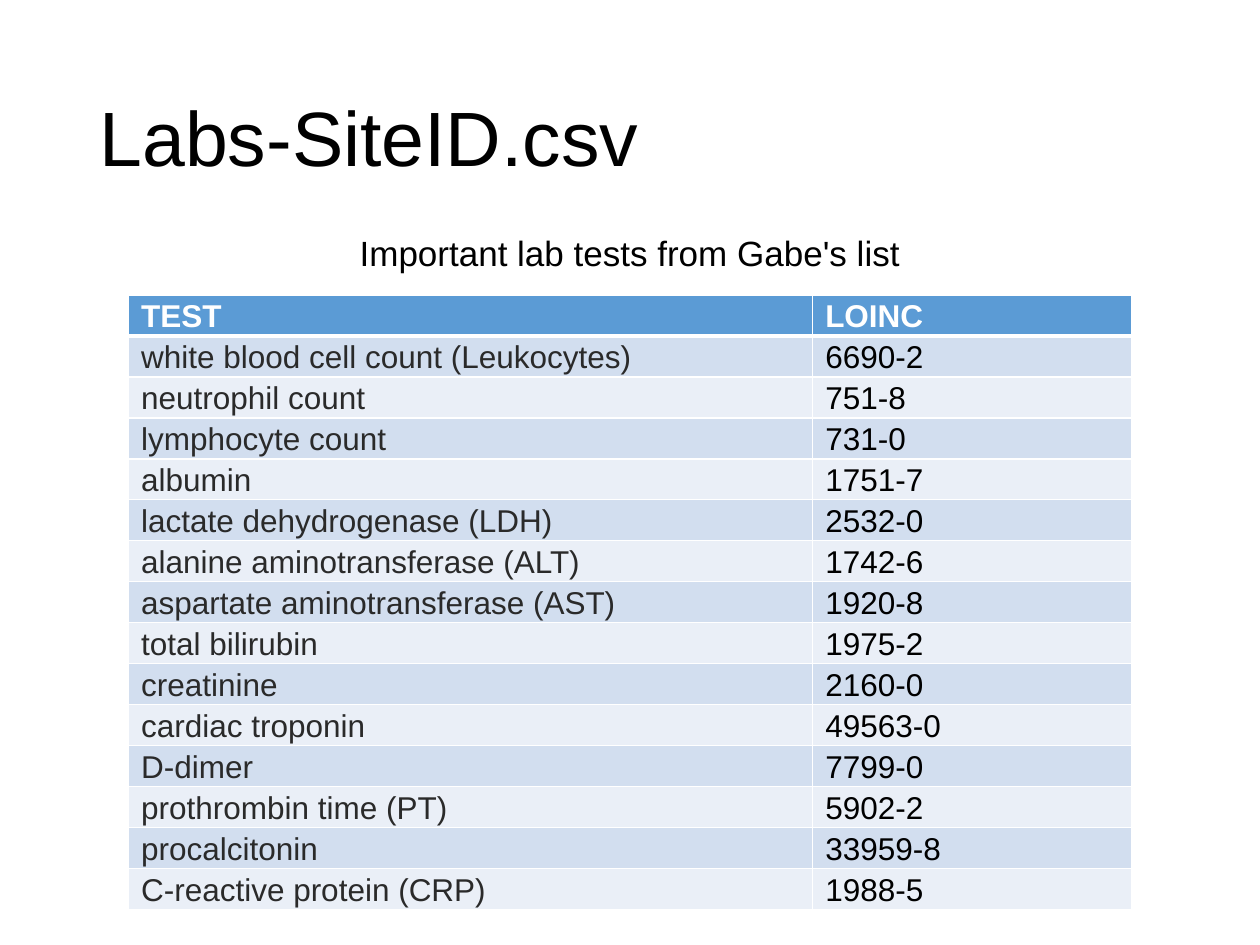
from lxml import etree
from pptx import Presentation
from pptx.dml.color import RGBColor
from pptx.enum.text import MSO_ANCHOR, MSO_AUTO_SIZE, PP_ALIGN
from pptx.oxml.ns import qn
from pptx.util import Inches, Pt

MIDDLE, BOTTOM = MSO_ANCHOR.MIDDLE, MSO_ANCHOR.BOTTOM
LEFT, CENTER = PP_ALIGN.LEFT, PP_ALIGN.CENTER
FIT_SHAPE = MSO_AUTO_SIZE.SHAPE_TO_FIT_TEXT

FONT = "Arial"
BLACK = RGBColor(0x00, 0x00, 0x00)
WHITE = RGBColor(0xFF, 0xFF, 0xFF)
DARK_GREY = RGBColor(0x2A, 0x2A, 0x2A)
HEADER_BLUE = RGBColor(0x5B, 0x9B, 0xD5)
BANDS = (RGBColor(0xD2, 0xDE, 0xEF), RGBColor(0xEA, 0xEF, 0xF7))

HEADINGS = ("TEST", "LOINC")
LAB_TESTS = [
    ("white blood cell count (Leukocytes)", "6690-2"),
    ("neutrophil count", "751-8"),
    ("lymphocyte count", "731-0"),
    ("albumin", "1751-7"),
    ("lactate dehydrogenase (LDH)", "2532-0"),
    ("alanine aminotransferase (ALT)", "1742-6"),
    ("aspartate aminotransferase (AST)", "1920-8"),
    ("total bilirubin", "1975-2"),
    ("creatinine", "2160-0"),
    ("cardiac troponin", "49563-0"),
    ("D-dimer", "7799-0"),
    ("prothrombin time (PT)", "5902-2"),
    ("procalcitonin", "33959-8"),
    ("C-reactive protein (CRP)", "1988-5"),
]


def write_text(frame, text, size=18, color=BLACK, bold=False, align=LEFT, line_spacing=None):
    paragraph = frame.paragraphs[0]
    paragraph.alignment = align
    paragraph.line_spacing = line_spacing
    run = paragraph.add_run()
    run.text = text
    run.font.name = FONT
    run.font.size = Pt(size)
    run.font.bold = bold
    run.font.color.rgb = color


def set_borders(cell, top=1, bottom=1):
    """Draw white borders; widths are in points."""
    properties = cell._tc.get_or_add_tcPr()
    widths = {"a:lnL": 1, "a:lnR": 1, "a:lnT": top, "a:lnB": bottom}
    for index, (tag, width) in enumerate(widths.items()):
        line = etree.Element(qn(tag), w=str(Pt(width)))
        fill = etree.SubElement(line, qn("a:solidFill"))
        etree.SubElement(fill, qn("a:srgbClr"), val=str(WHITE))
        properties.insert(index, line)


def add_title(slide, left, top, width, height):
    title = slide.shapes.title
    title.left, title.top = Inches(left), Inches(top)
    title.width, title.height = Inches(width), Inches(height)
    title.text_frame.vertical_anchor = MIDDLE
    write_text(title.text_frame, "Labs-SiteID.csv", size=44, line_spacing=0.9)


def add_caption(slide, left, top, width, height):
    caption = slide.shapes.add_textbox(Inches(left), Inches(top), Inches(width), Inches(height))
    frame = caption.text_frame
    frame.word_wrap = False
    frame.auto_size = FIT_SHAPE
    write_text(frame, "Important lab tests from Gabe's list", size=20, align=CENTER)


def fill_cell(cell, text, fill, color, bold=False):
    cell.fill.solid()
    cell.fill.fore_color.rgb = fill
    cell.vertical_anchor = BOTTOM
    cell.margin_left = cell.margin_right = Inches(0.1)
    cell.margin_top = cell.margin_bottom = Inches(0.01)
    write_text(cell.text_frame, text, color=color, bold=bold)


def add_lab_table(slide, left, top, width, height, first_column=5.43):
    row_count = len(LAB_TESTS) + 1
    table = slide.shapes.add_table(
        row_count, len(HEADINGS), Inches(left), Inches(top), Inches(width), Inches(height)
    ).table
    table.columns[0].width = Inches(first_column)
    table.columns[1].width = Inches(width - first_column)
    for row in table.rows:
        row.height = Inches(height / row_count)

    # Header row
    for column, heading in enumerate(HEADINGS):
        cell = table.cell(0, column)
        fill_cell(cell, heading, HEADER_BLUE, WHITE, bold=True)
        set_borders(cell, bottom=3)

    # Banded body rows
    for row, values in enumerate(LAB_TESTS, start=1):
        for column, (value, color) in enumerate(zip(values, (DARK_GREY, BLACK))):
            cell = table.cell(row, column)
            fill_cell(cell, value, BANDS[(row - 1) % 2], color)
            set_borders(cell, top=3 if row == 1 else 1)


presentation = Presentation()
presentation.slide_width, presentation.slide_height = Inches(10), Inches(7.5)
title_only = presentation.slide_layouts[5]
slide = presentation.slides.add_slide(title_only)
add_title(slide, 0.69, 0.4, 8.62, 1.45)
add_lab_table(slide, 1.02, 2.34, 7.96, 4.88)
add_caption(slide, 2.7, 1.79, 4.6, 0.44)
presentation.save("out.pptx")
